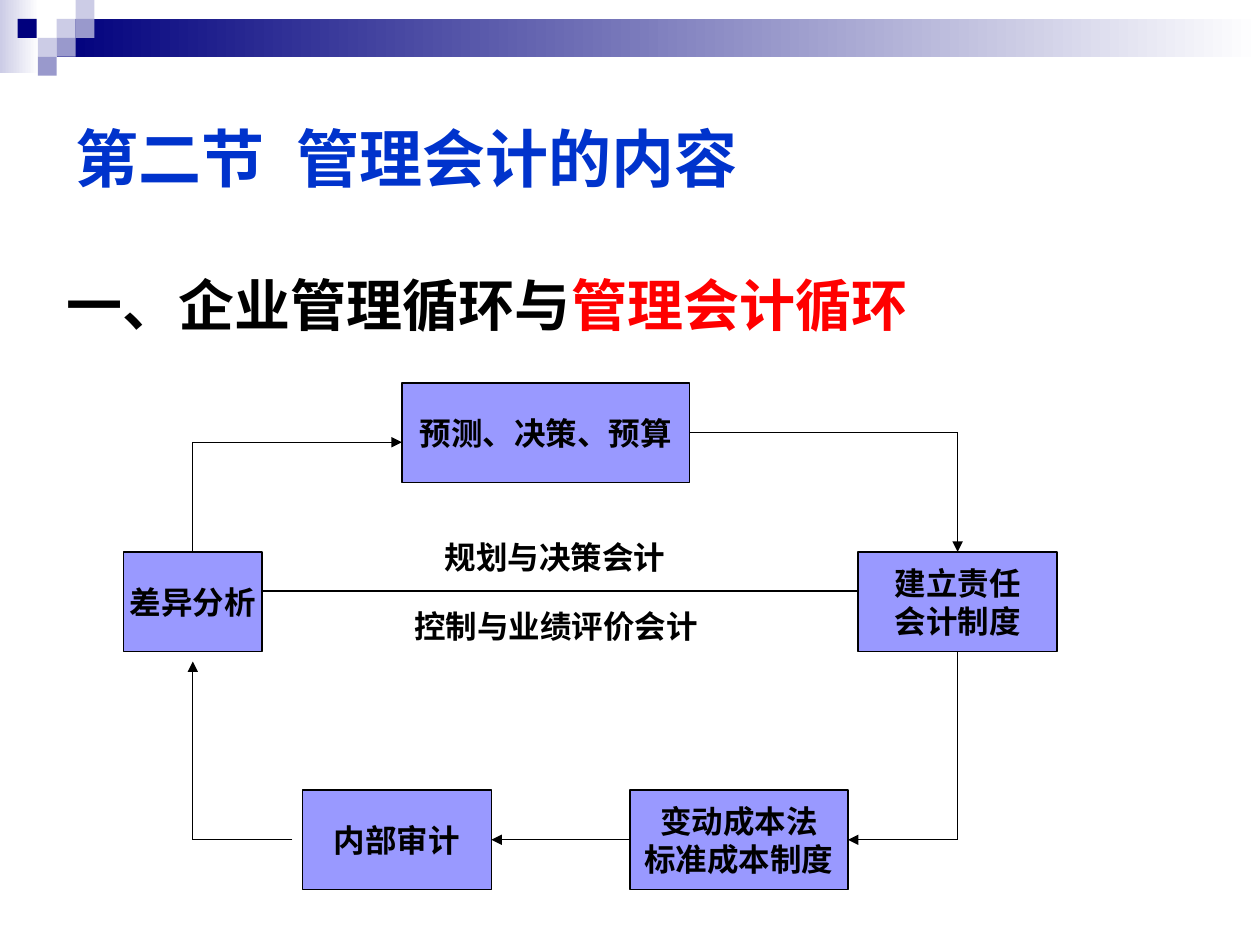
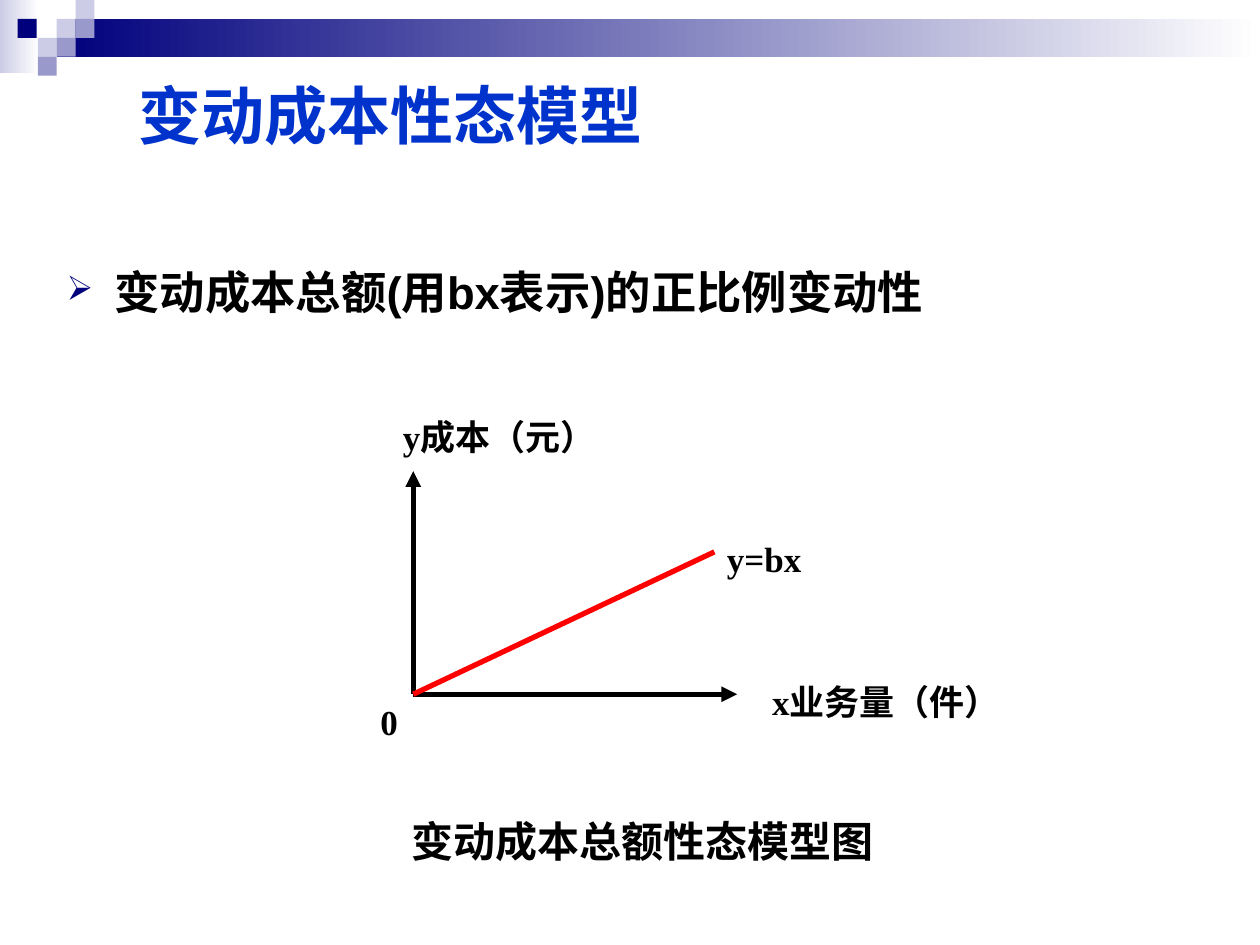
from pptx import Presentation
from pptx.dml.color import RGBColor
from pptx.enum.shapes import MSO_CONNECTOR, MSO_SHAPE
from pptx.enum.text import MSO_ANCHOR, MSO_AUTO_SIZE, PP_ALIGN
from pptx.oxml.ns import qn
from pptx.oxml.xmlchemy import OxmlElement
from pptx.util import Inches, Pt

RECTANGLE = MSO_SHAPE.RECTANGLE
STRAIGHT = MSO_CONNECTOR.STRAIGHT
TOP, MIDDLE = MSO_ANCHOR.TOP, MSO_ANCHOR.MIDDLE
LEFT, CENTER = PP_ALIGN.LEFT, PP_ALIGN.CENTER
NO_AUTOSIZE = MSO_AUTO_SIZE.NONE
TITLE_ONLY = 5
TOP_SIDE, LEFT_SIDE, BOTTOM_SIDE, RIGHT_SIDE = range(4)

BLACK = RGBColor(0x00, 0x00, 0x00)
WHITE = RGBColor(0xFF, 0xFF, 0xFF)
RED = RGBColor(0xFF, 0x00, 0x00)
TITLE_BLUE = RGBColor(0x00, 0x33, 0xCC)
NAVY = RGBColor(0x00, 0x00, 0x7D)
LAVENDER = RGBColor(0xCC, 0xCC, 0xE6)
MAUVE = RGBColor(0x99, 0x99, 0xCC)
BOX_FILL = RGBColor(0x99, 0x99, 0xFF)

ARIAL, CHINESE, TIMES = "Arial", "Noto Sans CJK SC", "Times New Roman"
COLUMNS, ROWS = 100, 75
TILE = 1.5
TILES = [
    (4.5, 1.5, LAVENDER), (6, 0, LAVENDER), (6, 1.5, MAUVE), (3, 3, LAVENDER),
    (1.4, 1.5, NAVY), (4.5, 3, MAUVE), (3, 4.5, MAUVE),
]


class Deck:
    def __init__(self):
        self.presentation = Presentation()
        self.presentation.slide_width = Inches(10)
        self.presentation.slide_height = Inches(7.5)
        self.column = self.presentation.slide_width / COLUMNS
        self.row = self.presentation.slide_height / ROWS
        self.slide = None

    def place(self, left, top, width, height):
        return (round(left * self.column), round(top * self.row),
                round(width * self.column), round(height * self.row))

    def add_slide(self):
        layout = self.presentation.slide_layouts[TITLE_ONLY]
        self.slide = self.presentation.slides.add_slide(layout)
        self.rectangle((0, 0, 3.1, 5.8), LAVENDER, fade=True)
        self.rectangle((4.5, 1.5, 95.5, 3), NAVY, fade=True)
        for left, top, color in TILES:
            self.rectangle((left, top, TILE, TILE), color)

    def rectangle(self, area, color, fade=False):
        shape = self.slide.shapes.add_shape(RECTANGLE, *self.place(*area))
        shape.shadow.inherit = False
        shape.line.fill.background()
        if fade:
            shape.fill.gradient()
            shape.fill.gradient_angle = 0
            for stop, stop_color in zip(shape.fill.gradient_stops, (color, WHITE)):
                stop.color.rgb = stop_color
        else:
            shape.fill.solid()
            shape.fill.fore_color.rgb = color
        return shape

    def frame(self, shape, anchor, wrap):
        text_frame = shape.text_frame
        text_frame.word_wrap = wrap
        text_frame.auto_size = NO_AUTOSIZE
        text_frame.vertical_anchor = anchor
        text_frame.margin_left = text_frame.margin_right = Inches(0.1)
        text_frame.margin_top = text_frame.margin_bottom = Inches(0.05)
        return text_frame

    def run(self, paragraph, text, size, font=ARIAL, color=BLACK, spacing=0):
        run = paragraph.add_run()
        run.text = text
        run.font.size = Pt(size)
        run.font.bold = True
        run.font.color.rgb = color
        run.font.name = font
        properties = run.font._element
        east_asian = OxmlElement("a:ea")
        east_asian.set("typeface", CHINESE)
        properties.find(qn("a:latin")).addnext(east_asian)
        if spacing:
            properties.set("spc", str(spacing * 100))

    def title(self, area, runs, font):
        shape = self.slide.shapes.title
        shape.left, shape.top, shape.width, shape.height = self.place(*area)
        paragraph = self.frame(shape, MIDDLE, True).paragraphs[0]
        paragraph.alignment = LEFT
        for text, spacing in runs:
            self.run(paragraph, text, 36, font, TITLE_BLUE, spacing)

    def text(self, area, runs, size, wrap=True, bullet=False):
        shape = self.slide.shapes.add_textbox(*self.place(*area))
        paragraph = self.frame(shape, TOP, wrap).paragraphs[0]
        if bullet:
            paragraph.line_spacing = 0.9
            self.bullet(paragraph)
        for text, font, color in runs:
            self.run(paragraph, text, size, font, color)

    def bullet(self, paragraph):
        properties = paragraph._p.get_or_add_pPr()
        indent = Inches(0.38)
        properties.set("marL", str(indent))
        properties.set("indent", str(-indent))
        color = OxmlElement("a:buClr")
        rgb = OxmlElement("a:srgbClr")
        rgb.set("val", str(NAVY))
        color.append(rgb)
        size = OxmlElement("a:buSzPct")
        size.set("val", "75000")
        character = OxmlElement("a:buChar")
        character.set("char", "➢")
        for element in (color, size, character):
            properties.append(element)

    def box(self, area, *lines):
        shape = self.rectangle(area, BOX_FILL)
        shape.line.color.rgb = BLACK
        shape.line.width = Pt(0.75)
        text_frame = self.frame(shape, MIDDLE, False)
        for index, line in enumerate(lines):
            paragraph = text_frame.add_paragraph() if index else text_frame.paragraphs[0]
            paragraph.alignment = CENTER
            self.run(paragraph, line, 18)
        return shape

    def line(self, start, end, arrow=False, color=BLACK, width=0.75,
             begin=None, finish=None):
        begin_x, begin_y, end_x, end_y = self.place(*start, *end)
        connector = self.slide.shapes.add_connector(
            STRAIGHT, begin_x, begin_y, end_x, end_y)
        if begin:
            connector.begin_connect(*begin)
        if finish:
            connector.end_connect(*finish)
        connector.line.color.rgb = color
        connector.line.width = Pt(width)
        properties = connector._element.spPr
        if arrow:
            tail = OxmlElement("a:tailEnd")
            tail.set("type", "triangle")
            properties.find(qn("a:ln")).append(tail)
        properties.append(OxmlElement("a:effectLst"))


def add_management_cycle(deck):
    deck.add_slide()
    deck.title((5, 5, 90, 15), [("第二节", 0), (" ", 10), ("管理会计的内容", 0)], ARIAL)
    deck.text((4.3, 21, 90, 42.5),
              [("一、企业管理循环与", ARIAL, BLACK), ("管理会计循环", ARIAL, RED)], 32)

    height, middle_row, bottom_row = 7.9, 43.8, 62.7
    planning = deck.box((31.9, 30.4, 22.8, height), "预测、决策、预算")
    duty = deck.box((68.1, middle_row, 15.8, height), "建立责任", "会计制度")
    variance = deck.box((9.8, middle_row, 11, height), "差异分析")
    audit = deck.box((24, bottom_row, 15, height), "内部审计")
    costing = deck.box((50, bottom_row, 17.3, height), "变动成本法", "标准成本制度")

    left, right = 15.3, 76
    planning_row, entry_row, bottom = 34.35, 35.1, bottom_row + height / 2
    deck.line((54.7, planning_row), (right, planning_row), begin=(planning, RIGHT_SIDE))
    deck.line((right, planning_row), (right, middle_row), True, finish=(duty, TOP_SIDE))
    deck.line((right, middle_row + height), (right, bottom), begin=(duty, BOTTOM_SIDE))
    deck.line((right, bottom), (67.3, bottom), True, finish=(costing, RIGHT_SIDE))
    deck.line((50, bottom), (39, bottom), True,
              begin=(costing, LEFT_SIDE), finish=(audit, RIGHT_SIDE))
    deck.line((23.2, bottom), (left, bottom))
    deck.line((left, bottom), (left, 52.5), True)
    deck.line((left, entry_row), (left, middle_row), finish=(variance, TOP_SIDE))
    deck.line((left, entry_row), (31.9, entry_row), True)
    deck.line((20.9, 46.9), (68.1, 46.9))

    deck.text((34.3, 42.2, 19.5, 4), [("规划与决策会计", ARIAL, BLACK)], 18, wrap=False)
    deck.text((31.9, 47.7, 24.5, 4), [("控制与业绩评价会计", ARIAL, BLACK)], 18, wrap=False)


def add_variable_cost_model(deck):
    deck.add_slide()
    deck.title((10, 5, 84.3, 8.2), [("变动成本性态模型", 0)], CHINESE)
    statement = ["变动成本总额", "(", "用", "bx", "表示", ")", "的正比例变动性"]
    deck.text((4.3, 21, 90, 5.5),
              [(part, ARIAL if part.isascii() else CHINESE, BLACK) for part in statement],
              25.9, bullet=True)

    origin = (32.8, 55.1)
    deck.line(origin, (58.5, 55.1), True, width=3)
    deck.line(origin, (32.8, 37.4), True, width=3)
    deck.line(origin, (56.7, 43.8), color=RED, width=3)
    for left, top, width, label in [
        (60.3, 53.5, 21.3, "x业务量（件）"),
        (56.7, 42.2, 9.2, "y=bx"),
        (31, 32.5, 19, "y成本（元）"),
        (29.2, 55.1, 3.7, "0"),
    ]:
        deck.text((left, top, width, 4.9), [(label, TIMES, BLACK)], 20)
    deck.text((31.7, 64.2, 40.8, 5), [("变动成本总额性态模型图", CHINESE, BLACK)], 24)


def main():
    deck = Deck()
    add_management_cycle(deck)
    add_variable_cost_model(deck)
    deck.presentation.save("out.pptx")


if __name__ == "__main__":
    main()
